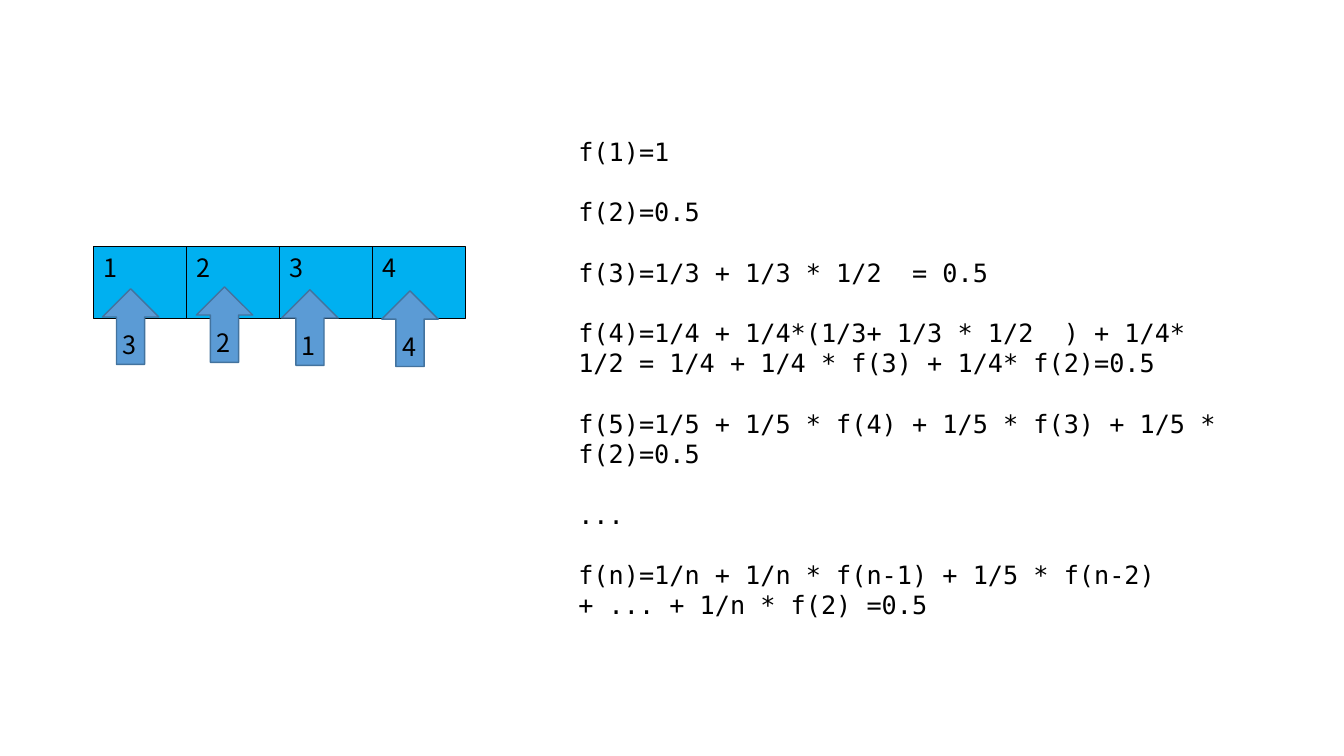
"""Build the slide on seat choices and the probabilities f(n)."""
from pptx import Presentation
from pptx.dml.color import RGBColor
from pptx.enum import shapes, text
from pptx.util import Pt

SEAT_BLUE = RGBColor(0x00, 0xB0, 0xF0)
ARROW_BLUE = RGBColor(0x5B, 0x9B, 0xD5)
ARROW_EDGE = RGBColor(0x43, 0x73, 0x9E)
BLACK = RGBColor(0, 0, 0)
NUMBER_FONT, FORMULA_FONT = "Noto Sans CJK SC", "DejaVu Sans Mono"

SEATS = ["1", "2", "3", "4"]
PASSENGERS = [("3", 66.3, 213.1), ("2", 133.4, 211.7), ("1", 194.4, 213.8), ("4", 265.9, 214.6)]
FORMULAS = [
    "f(1)=1",
    "f(2)=0.5",
    "f(3)=1/3 + 1/3 * 1/2 \u00a0= 0.5",
    "f(4)=1/4 + 1/4*(1/3+ 1/3 * 1/2 \u00a0) + 1/4* 1/2 = 1/4 + 1/4 * f(3) + 1/4* f(2)=0.5",
    "f(5)=1/5 + 1/5 * f(4) + 1/5 * f(3) + 1/5 * f(2)=0.5",
    "...",
    "f(n)=1/n + 1/n * f(n-1) + 1/5 * f(n-2) + ... + 1/n * f(2) =0.5",
]

SEAT_LEFT, SEAT_TOP, SEAT_WIDTH, SEAT_HEIGHT = 67, 176.4, 66.3, 51
ARROW_LENGTH, ARROW_WIDTH = 54, 40.3
LABEL_DX, LABEL_DY, LABEL_WIDTH, LABEL_HEIGHT = 14.2, 18.7, 23, 29
LINE_PITCH = 21.6


def write(shape, lines, font):
    """Fill a shape with left-aligned black paragraphs."""
    frame = shape.text_frame
    frame.word_wrap = True
    frame.vertical_anchor = text.MSO_ANCHOR.TOP
    frame.text = "\n".join(lines)
    for paragraph in frame.paragraphs:
        paragraph.alignment = text.PP_ALIGN.LEFT
        for run in paragraph.runs:
            run.font.size = Pt(18)
            run.font.name = font
            run.font.color.rgb = BLACK


def add_block(parent, kind, box, fill, edge, edge_width):
    """Add a flat preset shape."""
    block = parent.add_shape(kind, *map(Pt, box))
    block.shadow.inherit = False
    block.fill.solid()
    block.fill.fore_color.rgb = fill
    block.line.color.rgb = edge
    block.line.width = Pt(edge_width)
    return block


def add_text(parent, box, lines, font):
    """Add a wrapped text box."""
    label = parent.add_textbox(*map(Pt, box))
    write(label, lines, font)
    return label


deck = Presentation()
deck.slide_width, deck.slide_height = Pt(960), Pt(540)
slide = deck.slides.add_slide(deck.slide_layouts[6])

for index, number in enumerate(SEATS):
    box = (SEAT_LEFT + index * SEAT_WIDTH, SEAT_TOP, SEAT_WIDTH, SEAT_HEIGHT)
    seat = add_block(slide.shapes, shapes.MSO_SHAPE.RECTANGLE, box, SEAT_BLUE, BLACK, 0.75)
    write(seat, [number], NUMBER_FONT)

for number, left, top in PASSENGERS:
    passenger = slide.shapes.add_group_shape().shapes
    arrow = add_block(passenger, shapes.MSO_SHAPE.RIGHT_ARROW,
                      (left, top, ARROW_LENGTH, ARROW_WIDTH), ARROW_BLUE, ARROW_EDGE, 1)
    arrow.rotation = 270
    add_text(passenger, (left + LABEL_DX, top + LABEL_DY, LABEL_WIDTH, LABEL_HEIGHT),
             [number], NUMBER_FONT)

formulas = add_text(slide.shapes, (406, 93.6, 490.3, 356.4), FORMULAS, FORMULA_FONT)
for formula in formulas.text_frame.paragraphs:
    formula.line_spacing = Pt(LINE_PITCH)
    formula.space_after = Pt(LINE_PITCH)

deck.save("out.pptx")
